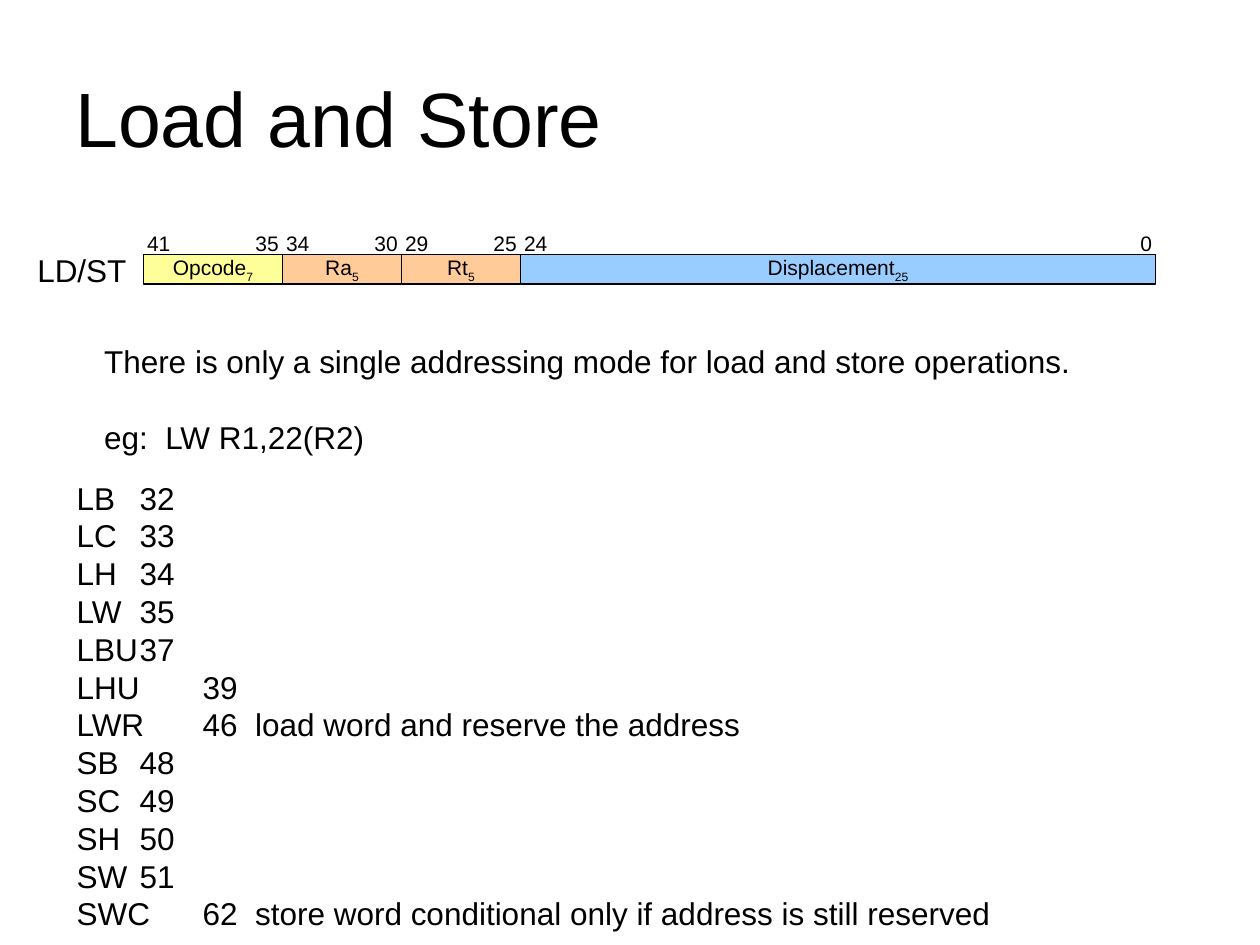
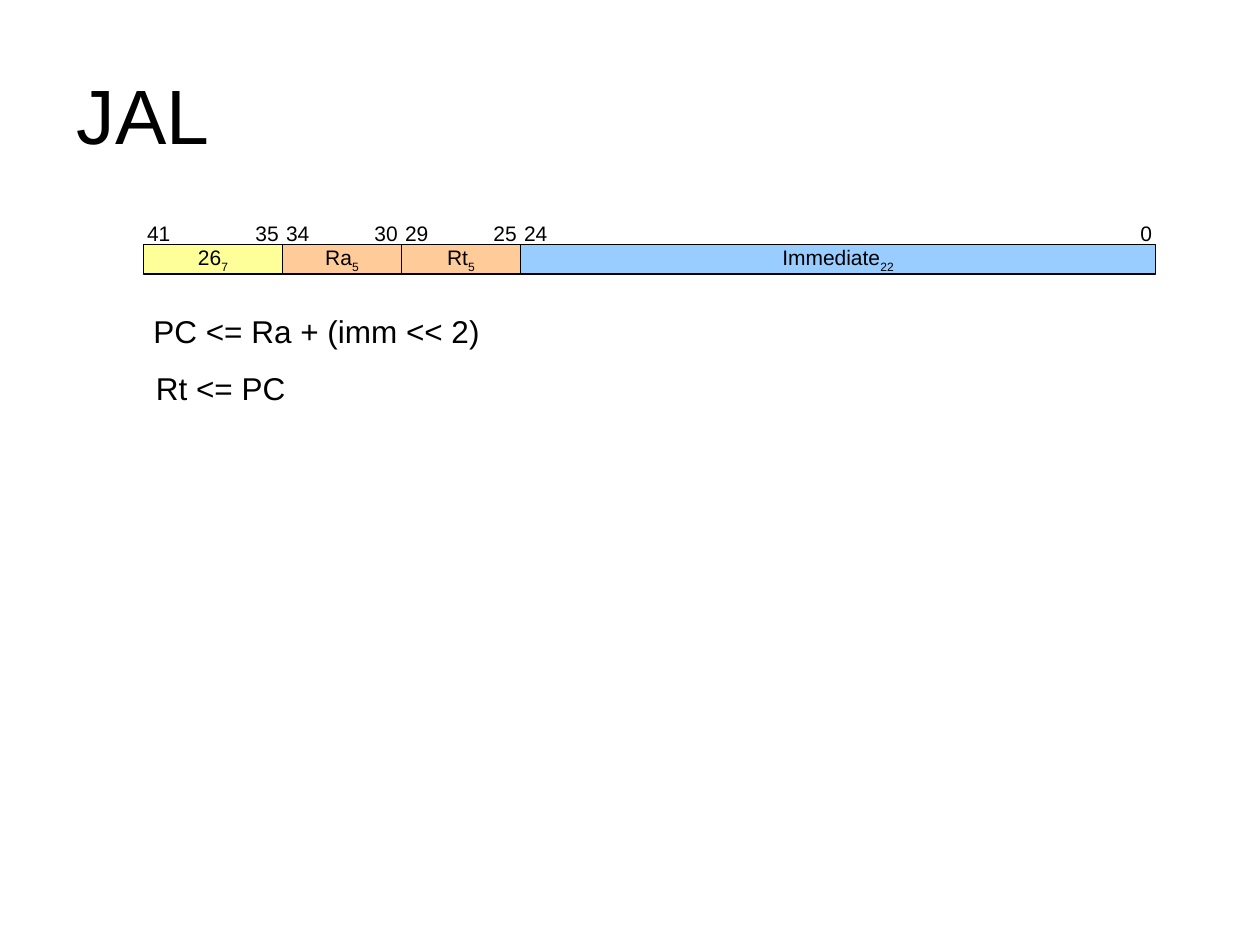
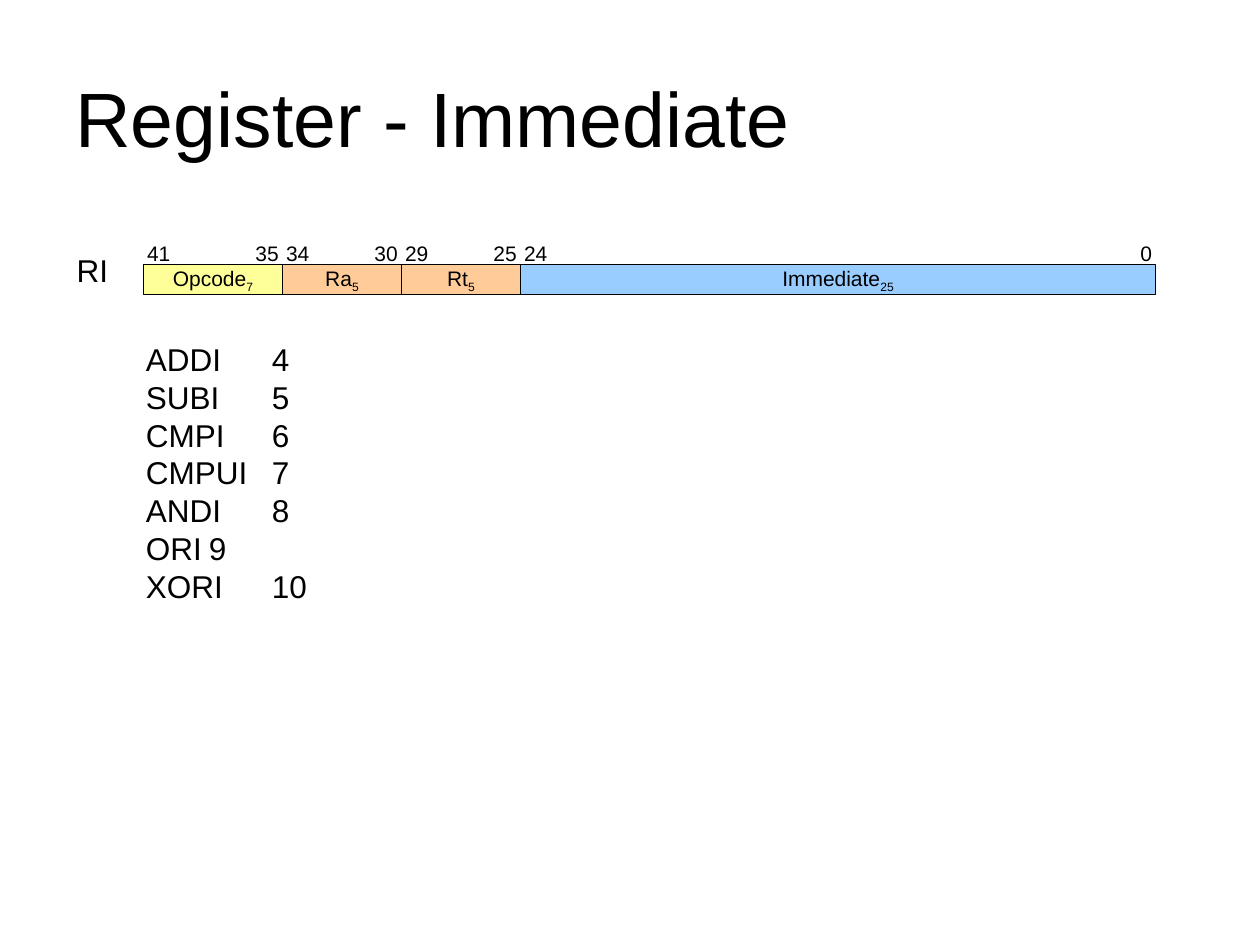
from pptx import Presentation
from pptx.dml.color import RGBColor
from pptx.enum.shapes import MSO_SHAPE
from pptx.enum.text import MSO_ANCHOR, PP_ALIGN
from pptx.util import Pt

COLORS = {"ink": "000000", "opcode": "FFFF99", "register": "FFCC99", "constant": "99CCFF"}
FONT = "Arial"
TITLE_SIZE, BODY_SIZE, BIT_SIZE = 44, 18, 12
LINE_RATIO = 1.2

# Instruction word: left edge, height, and the width, fill and bit range of each field
WORD_LEFT, WORD_HEIGHT = 82, 17
FIELDS = [
    (79.4, "opcode", "41", "35"),
    (68, "register", "34", "30"),
    (68, "register", "29", "25"),
    (363, "constant", "24", "0"),
]
BIT_RISE, BIT_OVERHANG, BIT_HEIGHT = 17.3, 5, 21.6

LOADS_AND_STORES = [
    "LB\t32", "LC\t33", "LH\t34", "LW\t35", "LBU\t37", "LHU\t39",
    "LWR\t46  load word and reserve the address",
    "SB\t48", "SC\t49", "SH\t50", "SW\t51",
    "SWC\t62  store word conditional only if address is still reserved",
]
IMMEDIATE_OPS = ["ADDI\t4", "SUBI\t5", "CMPI\t6", "CMPUI\t7", "ANDI\t8", "ORI\t9", "XORI\t10"]


def rgb(name):
    return RGBColor.from_string(COLORS[name])


def style(paragraph, size, align=PP_ALIGN.LEFT):
    paragraph.font.name = FONT
    paragraph.font.size = Pt(size)
    paragraph.font.color.rgb = rgb("ink")
    paragraph.alignment = align


def add_text(slide, box, lines, size=BODY_SIZE, align=PP_ALIGN.LEFT, gap=0):
    """Write one paragraph per line, with a gap before all but the first."""
    frame = slide.shapes.add_textbox(*map(Pt, box)).text_frame
    frame.word_wrap = True
    for index, line in enumerate(lines):
        paragraph = frame.paragraphs[0] if index == 0 else frame.add_paragraph()
        paragraph.text = line
        style(paragraph, size, align)
        paragraph.line_spacing = Pt(size * LINE_RATIO)
        if index and gap:
            paragraph.space_before = Pt(gap)
    return frame


def add_title(slide, text, left=36, top=21.6):
    frame = add_text(slide, (left, top, 648, 90), [text], TITLE_SIZE)
    frame.paragraphs[0].line_spacing = 1.0
    frame.vertical_anchor = MSO_ANCHOR.MIDDLE


def add_field(slide, box, fill, label, width_in_bits):
    field = slide.shapes.add_shape(MSO_SHAPE.RECTANGLE, *map(Pt, box))
    field.shadow.inherit = False
    field.fill.solid()
    field.fill.fore_color.rgb = rgb(fill)
    field.line.color.rgb = rgb("ink")
    field.line.width = Pt(0.75)
    frame = field.text_frame
    frame.word_wrap = False
    frame.vertical_anchor = MSO_ANCHOR.MIDDLE
    paragraph = frame.paragraphs[0]
    style(paragraph, BIT_SIZE, PP_ALIGN.CENTER)
    paragraph.add_run().text = label
    subscript = paragraph.add_run()
    subscript.text = width_in_bits
    subscript.font._element.set("baseline", "-25000")


def add_bit_number(slide, edge, top, number, align):
    """Put a bit number just inside the left or right edge of its field."""
    width = 14 + 7 * len(number)
    left = edge - BIT_OVERHANG if align == PP_ALIGN.LEFT else edge + BIT_OVERHANG - width
    add_text(slide, (left, top, width, BIT_HEIGHT), [number], BIT_SIZE, align)


def add_instruction_word(slide, top, labels):
    left = WORD_LEFT
    for (width, fill, high, low), (label, bits) in zip(FIELDS, labels):
        add_field(slide, (left, top, width, WORD_HEIGHT), fill, label, bits)
        add_bit_number(slide, left, top - BIT_RISE, high, PP_ALIGN.LEFT)
        add_bit_number(slide, left + width, top - BIT_RISE, low, PP_ALIGN.RIGHT)
        left += width


def word_labels(opcode, constant, constant_bits):
    return [(opcode, "7"), ("Ra", "5"), ("Rt", "5"), (constant, constant_bits)]


def build_load_store(slide):
    add_title(slide, "Load and Store")
    add_instruction_word(slide, 145.3, word_labels("Opcode", "Displacement", "25"))
    add_text(slide, (14.2, 139.7, 68, 28.8), ["LD/ST"])
    # Addressing mode and its example
    add_text(slide, (52.4, 192.2, 585.4, 93.6), [
        "There is only a single addressing mode for load and store operations.",
        "eg:  LW R1,22(R2)",
    ], gap=BODY_SIZE * LINE_RATIO)
    # Opcode list
    add_text(slide, (36.7, 270, 544.3, 266.4), LOADS_AND_STORES)


def build_jal(slide):
    add_title(slide, "JAL", 36.7, 20.2)
    add_instruction_word(slide, 139.7, word_labels("26", "Immediate", "22"))
    # Effect on the program counter and target register
    add_text(slide, (80.6, 175, 202, 28.8), ["PC <= Ra + (imm << 2)"])
    add_text(slide, (82, 207.4, 90, 28.8), ["Rt <= PC"])


def build_register_immediate(slide):
    add_title(slide, "Register - Immediate")
    add_instruction_word(slide, 151.2, word_labels("Opcode", "Immediate", "25"))
    add_text(slide, (36.7, 139.7, 34, 28.8), ["RI"])
    # Opcode list
    add_text(slide, (76.3, 190.8, 108, 158.4), IMMEDIATE_OPS)


def main():
    deck = Presentation()
    deck.slide_width, deck.slide_height = Pt(720), Pt(540)
    blank = deck.slide_layouts[6]
    for build in (build_load_store, build_jal, build_register_immediate):
        build(deck.slides.add_slide(blank))
    deck.save("out.pptx")


if __name__ == "__main__":
    main()
